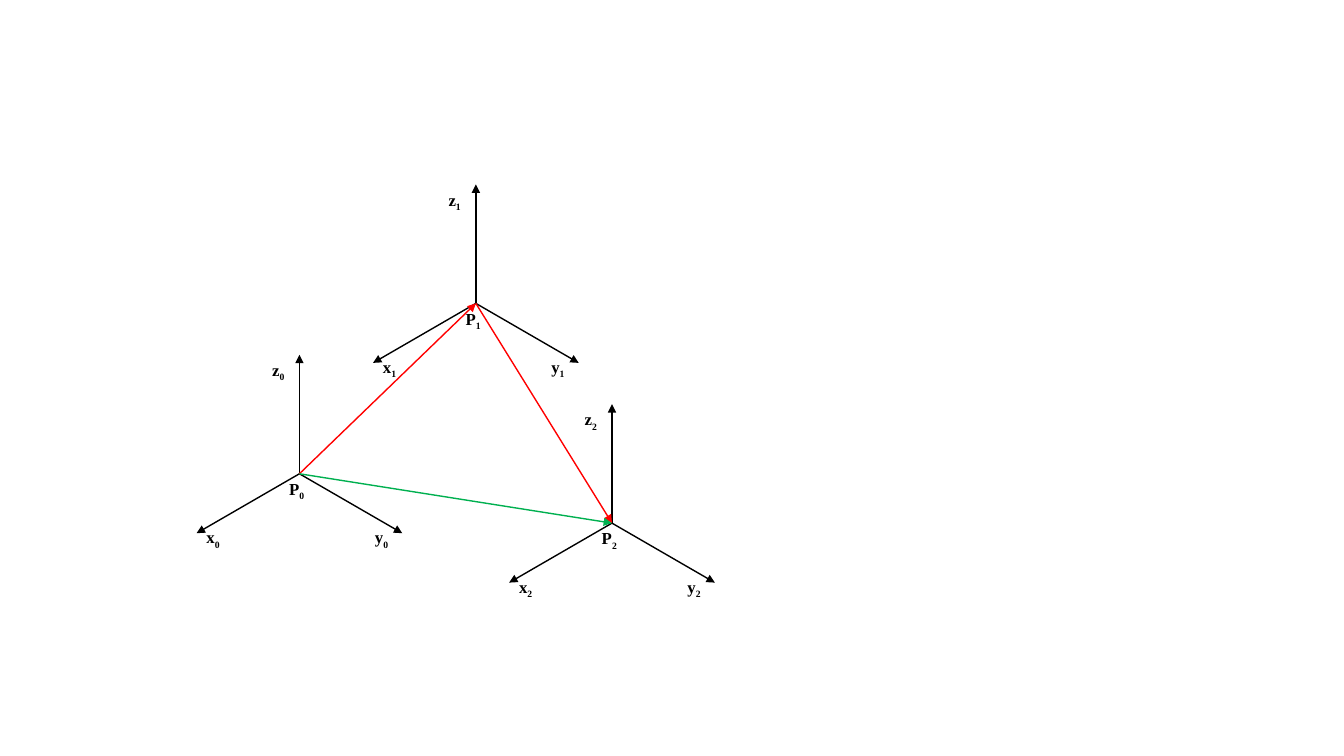
from lxml import etree
from pptx import Presentation
from pptx.dml.color import RGBColor
from pptx.enum.shapes import MSO_CONNECTOR
from pptx.enum.text import MSO_AUTO_SIZE
from pptx.oxml.ns import qn
from pptx.util import Emu, Pt

STRAIGHT = MSO_CONNECTOR.STRAIGHT
FIT_SHAPE = MSO_AUTO_SIZE.SHAPE_TO_FIT_TEXT

BLACK = RGBColor(0x00, 0x00, 0x00)
RED = RGBColor(0xFF, 0x00, 0x00)
GREEN = RGBColor(0x00, 0xB0, 0x50)

EMU_PER_PX = 9144
SLIDE_SIZE = (1333, 750)
LABEL_HEIGHT = 30
LABEL_FONT = {"name": "Times New Roman", "size": Pt(12), "bold": True}
LABEL_FRAME = {"word_wrap": False, "auto_size": FIT_SHAPE}

ORIGINS = [(297, 470), (472, 301), (607, 519)]
AXIS_TIPS = [(0, -118), (102, 59), (-102, 59)]
LABELS = [
    ("x", -102, 48, 37),
    ("y", 65, 48, 37),
    ("z", -37, -118, 35),
    ("P", -20, 0, 40),
]
VECTORS = [(0, 1, RED), (1, 2, RED), (0, 2, GREEN)]


def px(value):
    return Emu(value * EMU_PER_PX)


def set_attributes(target, values):
    for name, value in values.items():
        setattr(target, name, value)


def add_arrow(shapes, start, end, color):
    arrow = shapes.add_connector(STRAIGHT, *map(px, (*start, *end)))
    arrow.line.color.rgb = color
    arrow.line.width = Pt(1)
    properties = arrow._element.spPr
    etree.SubElement(properties.find(qn("a:ln")), qn("a:tailEnd"), type="triangle")
    etree.SubElement(properties, qn("a:effectLst"))


def add_label(shapes, left, top, width, letter, subscript):
    box = shapes.add_textbox(*map(px, (left, top, width, LABEL_HEIGHT)))
    set_attributes(box.text_frame, LABEL_FRAME)
    paragraph = box.text_frame.paragraphs[0]
    for text, baseline in ((letter, 0), (subscript, -25000)):
        run = paragraph.add_run()
        run.text = text
        set_attributes(run.font, LABEL_FONT)
        run.font.color.rgb = BLACK
        if baseline:
            run._r.get_or_add_rPr().set("baseline", str(baseline))


def add_frame(slide, index, origin):
    shapes = slide.shapes.add_group_shape().shapes
    x, y = origin
    for dx, dy in AXIS_TIPS:
        add_arrow(shapes, origin, (x + dx, y + dy), BLACK)
    for letter, dx, dy, width in LABELS:
        add_label(shapes, x + dx, y + dy, width, letter, str(index))


def main():
    presentation = Presentation()
    presentation.slide_width, presentation.slide_height = map(px, SLIDE_SIZE)
    slide = presentation.slides.add_slide(presentation.slide_layouts[6])
    for index, origin in enumerate(ORIGINS):
        add_frame(slide, index, origin)
    for start, end, color in VECTORS:
        add_arrow(slide.shapes, ORIGINS[start], ORIGINS[end], color)
    presentation.save("out.pptx")


if __name__ == "__main__":
    main()
